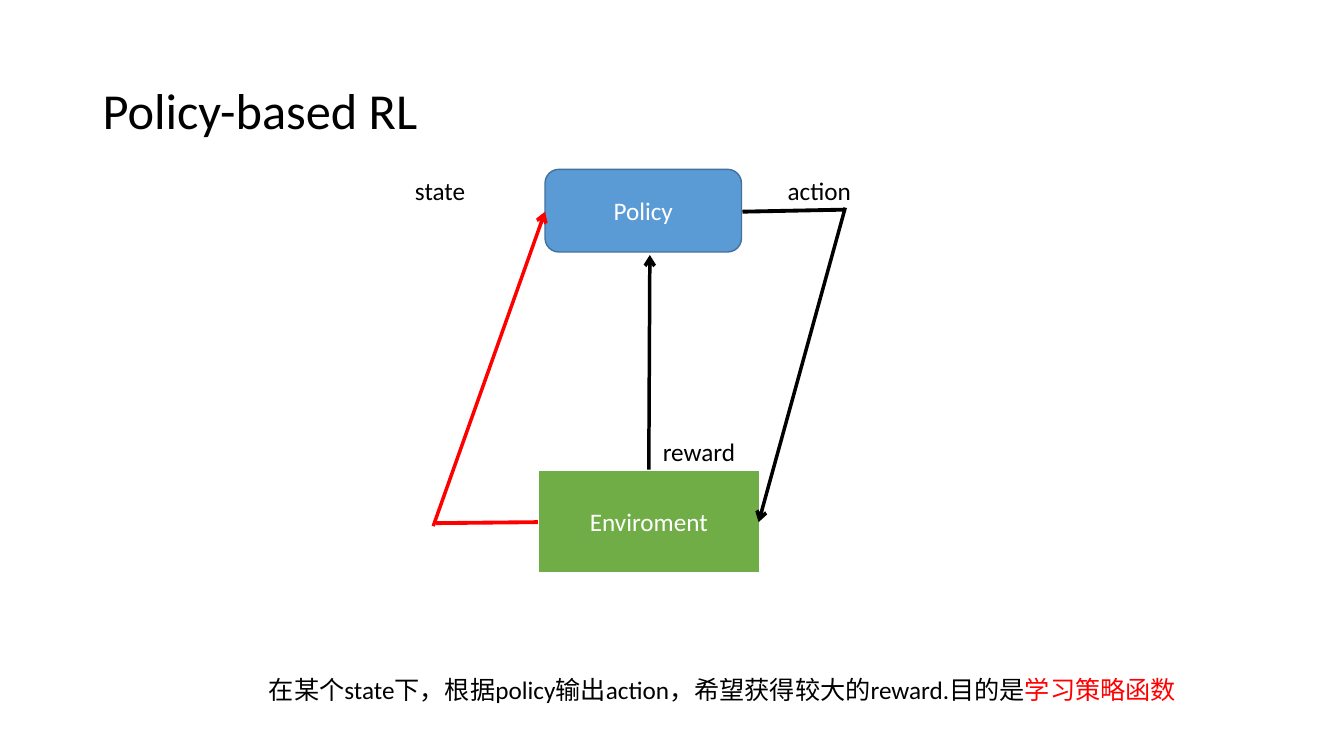
from lxml import etree
from pptx import Presentation
from pptx.dml.color import RGBColor
from pptx.enum.shapes import MSO_CONNECTOR as Connector, MSO_SHAPE as Shape
from pptx.enum.text import MSO_ANCHOR as Anchor, PP_ALIGN as Align
from pptx.oxml.ns import qn
from pptx.util import Inches, Pt

BLACK = RGBColor(0x00, 0x00, 0x00)
WHITE = RGBColor(0xFF, 0xFF, 0xFF)
RED = RGBColor(0xFF, 0x00, 0x00)
BLUE = RGBColor(0x5B, 0x9B, 0xD5)
DARK_BLUE = RGBColor(0x41, 0x71, 0x9C)
GREEN = RGBColor(0x70, 0xAD, 0x47)

CELL = 0.1  # side of a grid column or row, in inches


class DiagramSlide:
    """Draws on one slide; every length is in grid columns and rows."""

    font_name = "Calibri"
    body_size = 18

    def __init__(self, presentation):
        self.slide = presentation.slides.add_slide(presentation.slide_layouts[6])

    def place(self, *lengths):
        return [Inches(length * CELL) for length in lengths]

    def style(self, paragraph, color, size):
        font = paragraph.font
        font.name, font.size = self.font_name, Pt(size)
        font.color.rgb = color

    def text(self, area, content, size=body_size, anchor=Anchor.TOP):
        box = self.slide.shapes.add_textbox(*self.place(*area))
        frame = box.text_frame
        frame.word_wrap = True
        frame.vertical_anchor = anchor
        paragraph = frame.paragraphs[0]
        paragraph.add_run().text = content
        self.style(paragraph, BLACK, size)
        return paragraph

    def box(self, kind, area, label, fill, border, border_width):
        shape = self.slide.shapes.add_shape(kind, *self.place(*area))
        shape.shadow.inherit = False
        shape.fill.solid()
        shape.fill.fore_color.rgb = fill
        shape.line.color.rgb = border
        shape.line.width = Pt(border_width)
        shape.text_frame.text = label
        shape.text_frame.vertical_anchor = Anchor.MIDDLE
        paragraph = shape.text_frame.paragraphs[0]
        paragraph.alignment = Align.CENTER
        self.style(paragraph, WHITE, self.body_size)

    def line(self, start, end, color=BLACK, width=2.75):
        connector = self.slide.shapes.add_connector(
            Connector.STRAIGHT, *self.place(*start, *end))
        connector.line.color.rgb = color
        connector.line.width = Pt(width)
        etree.SubElement(connector._element.spPr, qn("a:effectLst"))
        return connector

    def arrow(self, start, end, color=BLACK):
        connector = self.line(start, end, color, width=2.5)
        outline = connector.line._get_or_add_ln()
        etree.SubElement(outline, qn("a:tailEnd"), type="arrow")


def main():
    presentation = Presentation()
    presentation.slide_width = Inches(13.34)
    presentation.slide_height = Inches(7.5)
    diagram = DiagramSlide(presentation)

    # Title
    title = diagram.text((9.2, 4, 115, 14.5), "Policy-based RL", 36, Anchor.MIDDLE)
    title.line_spacing = 0.9

    # Agent and environment
    diagram.box(Shape.ROUNDED_RECTANGLE, (54.1, 16.8, 19.5, 8.2),
                "Policy", BLUE, DARK_BLUE, 1)
    diagram.box(Shape.RECTANGLE, (53.4, 46.6, 22, 10.3),
                "Enviroment", GREEN, WHITE, 1.5)

    # Action: policy to environment
    diagram.line((73.7, 21), (83.8, 20.8))
    diagram.arrow((83.9, 20.6), (75.3, 51.8))

    # Reward: environment to policy
    diagram.arrow((64.4, 46.6), (64.5, 25.3))

    # State: environment to policy
    diagram.line((43.3, 51.9), (53.4, 51.8), RED)
    diagram.arrow((43, 52.2), (54.1, 21), RED)

    # Arrow labels
    for label, left, top, width in (("action", 77.2, 16.9, 13.6),
                                    ("reward", 64.8, 42.8, 11.1),
                                    ("state", 40.2, 16.9, 13.2)):
        diagram.text((left, top, width, 4), label)

    # Summary with its goal in red
    summary = diagram.text(
        (25.7, 66.4, 101.5, 4),
        "在某个state下，根据policy输出action，希望获得较大的reward.目的是")
    goal = summary.add_run()
    goal.text = "学习策略函数"
    goal.font.color.rgb = RED

    presentation.save("out.pptx")


if __name__ == "__main__":
    main()
